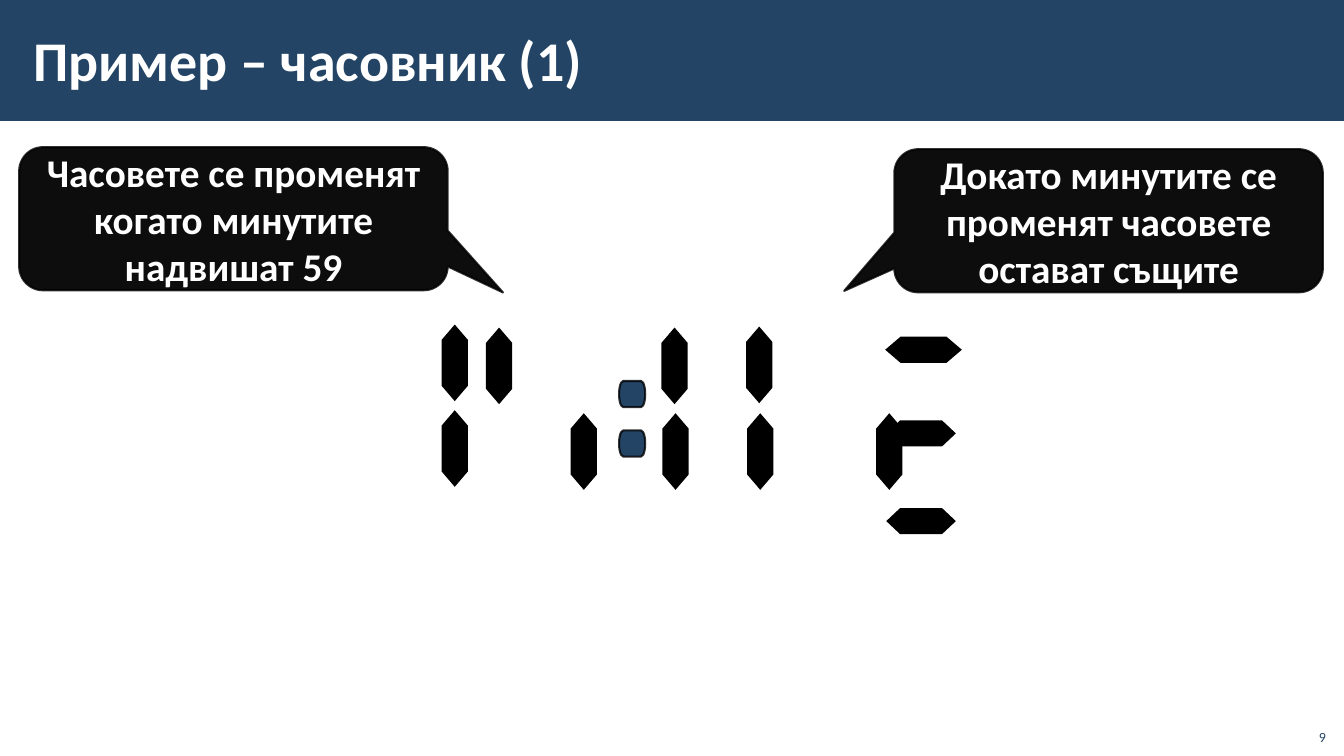
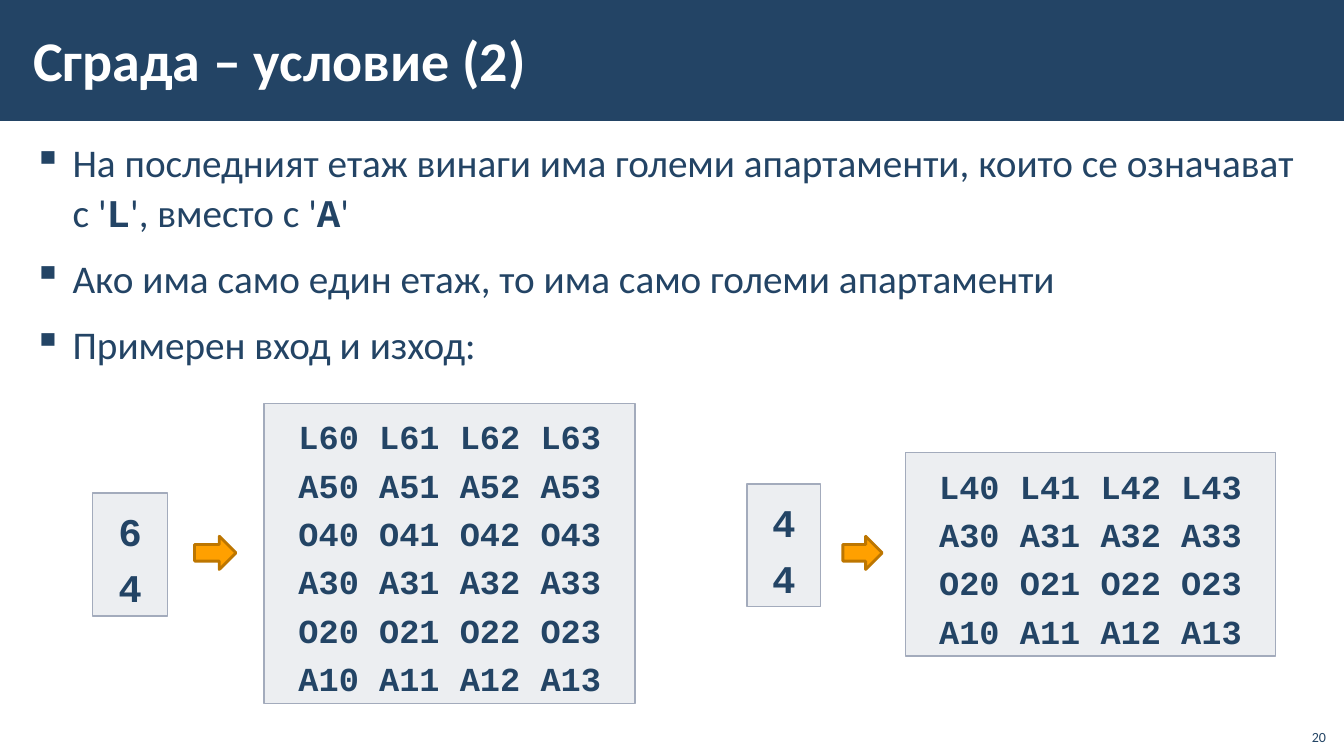
from pptx import Presentation
from pptx.dml.color import RGBColor
from pptx.enum.shapes import MSO_SHAPE
from pptx.enum.text import MSO_ANCHOR, PP_ALIGN
from pptx.oxml.ns import qn
from pptx.util import Pt
from lxml.etree import SubElement

NAVY = RGBColor(0x23, 0x44, 0x65)
WHITE = RGBColor(0xFF, 0xFF, 0xFF)
BLACK = RGBColor(0x00, 0x00, 0x00)
GREY = RGBColor(0xA3, 0xAB, 0xBC)
ORANGE = RGBColor(0xFF, 0xA0, 0x00)
BROWN = RGBColor(0xBD, 0x76, 0x00)
SANS, MONO = "Calibri", "Courier New"

EMU_PER_PX = 9144
WIDTH, HEIGHT = 1333, 750
SEGMENT, THICK = 76, 26
WIDE_INSETS = (12, 4, 12, 4)
BOX_INSETS = (10, 5, 10, 5)

TITLE = dict(name=SANS, size=Pt(40), bold=True, color=WHITE)
BODY = dict(name=SANS, size=Pt(28), bold=False, color=NAVY)
CODE_WORD = dict(BODY, name=MONO, bold=True)
CALLOUT = dict(BODY, bold=True, color=WHITE)
INPUT = dict(CODE_WORD)
OUTPUT = dict(CODE_WORD, size=Pt(24))
NUMBER = dict(BODY, size=Pt(10))

CALLOUTS = [
    ((19, 146, 425, 142), (0.629, 0.515, 0.167), "Часовете се променят когато минутите надвишат 59"),
    ((887, 148, 425, 142), (-0.617, 0.49, 0.167), "Докато минутите се променят часовете остават същите"),
]
COLON_DOTS = [(614, 378), (614, 427)]
VERTICAL_CENTRES = [
    (451, 360), (451, 445), (495, 363), (579, 448), (669, 363),
    (670, 448), (753, 362), (754, 448), (882, 448),
]
HORIZONTALS = [(878, 334, 76), (879, 417, 69), (879, 504, 69)]

BULLETS = [
    [("На последният етаж винаги има големи апартаменти, които се означават с '", BODY),
     ("L", CODE_WORD), ("', вместо с '", BODY), ("А", CODE_WORD), ("'", BODY)],
    [("Ако има само един етаж, то има само големи апартаменти", BODY)],
    [("Примерен вход и изход:", BODY)],
]
EXAMPLES = [
    dict(floors=6, flats=4, input=(92, 489, 74, 122), arrow=(193, 532, 41, 33), output=(262, 400, 368, 298)),
    dict(floors=4, flats=4, input=(741, 480, 73, 122), arrow=(836, 532, 39, 33), output=(898, 449, 367, 202)),
]


def px(n):
    return round(n * EMU_PER_PX)


def fade(fill_parent, percent):
    color = fill_parent.find(qn("a:solidFill")).find(qn("a:srgbClr"))
    SubElement(color, qn("a:alpha"), val=str(percent * 1000))


def add_shape(s, kind, box, fill, line=None, weight=1, fill_alpha=100, line_alpha=100):
    sp = s.shapes.add_shape(kind, *map(px, box))
    sp.shadow.inherit = False
    sp.fill.solid()
    sp.fill.fore_color.rgb = fill
    if fill_alpha < 100:
        fade(sp._element.spPr, fill_alpha)
    if line is None:
        sp.line.fill.background()
    else:
        sp.line.color.rgb = line
        sp.line.width = Pt(weight)
        if line_alpha < 100:
            fade(sp._element.spPr.find(qn("a:ln")), line_alpha)
    return sp


def write(sp, paragraphs, anchor=MSO_ANCHOR.TOP, insets=BOX_INSETS, **para_format):
    tf = sp.text_frame
    tf.word_wrap = True
    tf.vertical_anchor = anchor
    for side, inset in zip(("left", "top", "right", "bottom"), insets):
        setattr(tf, f"margin_{side}", px(inset))
    for i, runs in enumerate(paragraphs):
        p = tf.add_paragraph() if i else tf.paragraphs[0]
        for key, value in para_format.items():
            setattr(p, key, value)
        for text, style in runs:
            r = p.add_run()
            r.text = text
            for key, value in style.items():
                if key == "color":
                    r.font.color.rgb = value
                else:
                    setattr(r.font, key, value)
    return tf


def add_text(s, box, paragraphs, **options):
    return write(s.shapes.add_textbox(*map(px, box)), paragraphs, **options)


def new_slide(prs, title, number):
    s = prs.slides.add_slide(prs.slide_layouts[6])
    add_shape(s, MSO_SHAPE.RECTANGLE, (0, 0, WIDTH, 120), NAVY)
    add_text(s, (21, 11, 1062, 96), [[(title, TITLE)]], anchor=MSO_ANCHOR.MIDDLE, insets=WIDE_INSETS)
    add_text(s, (1285, 712, 40, 32), [[(str(number), NUMBER)]],
             anchor=MSO_ANCHOR.BOTTOM, alignment=PP_ALIGN.RIGHT)
    return s


def add_bullets(s, box, paragraphs):
    tf = add_text(s, box, paragraphs, insets=WIDE_INSETS, line_spacing=1.05,
                  space_before=Pt(6), space_after=Pt(6))
    for p in tf.paragraphs:
        ppr = p._p.get_or_add_pPr()
        ppr.set("marL", str(px(39)))
        ppr.set("indent", str(px(-39)))
        color = SubElement(ppr, qn("a:buClr"))
        SubElement(color, qn("a:srgbClr"), val=str(NAVY))
        SubElement(ppr, qn("a:buChar"), char="▪")


def add_code_box(s, box, lines, style):
    sp = add_shape(s, MSO_SHAPE.RECTANGLE, box, GREY, GREY, fill_alpha=20)
    write(sp, [[(line, style)] for line in lines], alignment=PP_ALIGN.CENTER, line_spacing=1.2)


def building(floors, flats):
    lines = []
    for floor in range(floors, 0, -1):
        letter = "L" if floor == floors else "A" if floor % 2 else "O"
        if floor == 5:
            letter = "A"
        lines.append(" ".join(f"{letter}{floor}{flat}" for flat in range(flats)))
    return lines


def clock_slide(prs):
    s = new_slide(prs, "Пример – часовник (1)", 9)
    for x, y in COLON_DOTS:
        add_shape(s, MSO_SHAPE.FLOWCHART_TERMINATOR, (x, y, 26, 26), NAVY, BLACK, 1.5, line_alpha=80)
    for x, y in VERTICAL_CENTRES:
        box = (x - SEGMENT / 2, y - THICK / 2, SEGMENT, THICK)
        add_shape(s, MSO_SHAPE.FLOWCHART_PREPARATION, box, BLACK).rotation = 90
    for x, y, length in HORIZONTALS:
        add_shape(s, MSO_SHAPE.FLOWCHART_PREPARATION, (x, y, length, THICK), BLACK)
    for box, adjustments, text in CALLOUTS:
        sp = add_shape(s, MSO_SHAPE.ROUNDED_RECTANGULAR_CALLOUT, box, BLACK, BLACK, 1.5,
                       fill_alpha=95, line_alpha=80)
        for i, value in enumerate(adjustments):
            sp.adjustments[i] = value
        write(sp, [[(text, CALLOUT)]], anchor=MSO_ANCHOR.MIDDLE, alignment=PP_ALIGN.CENTER)


def building_slide(prs):
    s = new_slide(prs, "Сграда – условие (2)", 20)
    add_bullets(s, (21, 131, 1292, 605), BULLETS)
    for example in EXAMPLES:
        floors, flats = example["floors"], example["flats"]
        add_code_box(s, example["input"], [str(floors), str(flats)], INPUT)
        add_shape(s, MSO_SHAPE.RIGHT_ARROW, example["arrow"], ORANGE, BROWN, 2)
        add_code_box(s, example["output"], building(floors, flats), OUTPUT)


def main():
    prs = Presentation()
    prs.slide_width, prs.slide_height = px(WIDTH), px(HEIGHT)
    clock_slide(prs)
    building_slide(prs)
    prs.save("out.pptx")


if __name__ == "__main__":
    main()
